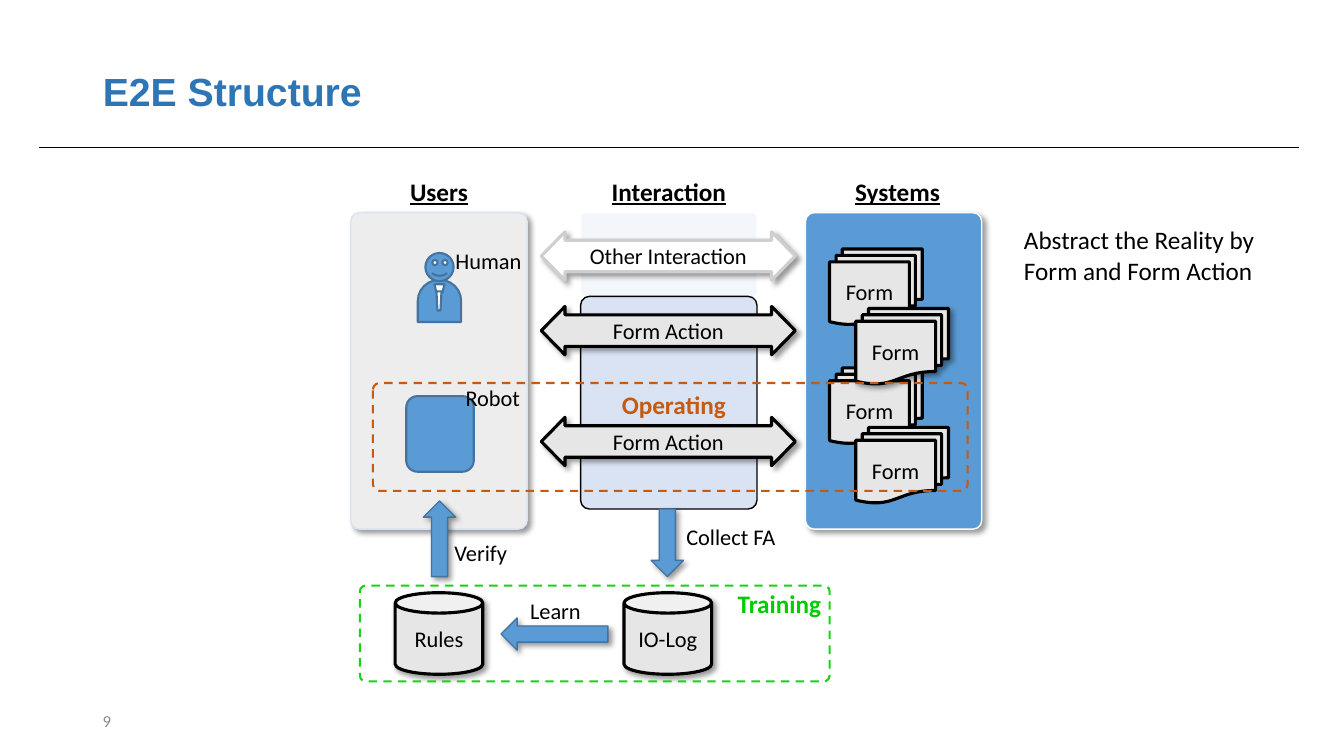
import pptx
import pptx.util
import pptx.dml.color
import pptx.enum.dml
import pptx.enum.shapes
import pptx.enum.text
import pptx.oxml.ns
from lxml import etree

W, H = pptx.util.Inches(13.33), pptx.util.Inches(7.5)
COLS, ROWS = 160, 90
SHAPE = pptx.enum.shapes.MSO_SHAPE
ALIGN = pptx.enum.text.PP_ALIGN
ANCHOR = pptx.enum.text.MSO_ANCHOR
LABEL_H, HEAD_H = 4.44, 4.8
BLUE, NAVY, GREY = "5B9BD5", "43739E", "E7E6E6"
HEADING = {"size": 18, "bold": True, "underline": True}
FRAME_NAME = {"size": 18, "bold": True}


def rgb(value):
    return pptx.dml.color.RGBColor.from_string(value)


def place(box, dx, dy, w, h):
    return box[0] + dx, box[1] + dy, w, h


def emu(box):
    x, y, w, h = box
    return [int(v) for v in (x * W / COLS, y * H / ROWS, w * W / COLS, h * H / ROWS)]


def write(tf, text, fmt, color="000000", align=ALIGN.LEFT, anchor=ANCHOR.TOP, wrap=True):
    tf.word_wrap = wrap
    tf.vertical_anchor = anchor
    p = tf.paragraphs[0]
    p.alignment = align
    r = p.add_run()
    r.text = text
    for key, value in {"name": "Calibri", "size": 16, **fmt}.items():
        setattr(r.font, key, pptx.util.Pt(value) if key == "size" else value)
    r.font.color.rgb = rgb(color)


def label(s, box, text, fmt=None, **options):
    write(s.shapes.add_textbox(*emu(box)).text_frame, text, fmt or {}, **options)


def heading(s, box, dx, text):
    label(s, place(box, dx, -4.92, box[2], HEAD_H), text, HEADING, align=ALIGN.CENTER)


def add_shadow(sp):
    ns = pptx.oxml.ns
    effects = sp._element.spPr.find(ns.qn("a:effectLst"))
    outer = etree.SubElement(effects, ns.qn("a:outerShdw"), blurRad=str(pptx.util.Pt(4)),
                             dist=str(pptx.util.Pt(3)), dir="2700000", algn="tl", rotWithShape="0")
    color = etree.SubElement(outer, ns.qn("a:srgbClr"), val="000000")
    etree.SubElement(color, ns.qn("a:alpha"), val="40000")


def shape(s, kind, box, fill=BLUE, line=NAVY, width=1, text=None, adj=(), rot=0,
          shadow=False, dash=False):
    sp = s.shapes.add_shape(kind, *emu(box))
    sp.rotation = rot
    for i, value in enumerate(adj):
        sp.adjustments[i] = value
    if fill:
        sp.fill.solid()
        sp.fill.fore_color.rgb = rgb(fill)
    else:
        sp.fill.background()
    sp.line.color.rgb = rgb(line)
    sp.line.width = pptx.util.Pt(width)
    if dash:
        sp.line.dash_style = pptx.enum.dml.MSO_LINE.DASH
    sp.shadow.inherit = False
    if shadow:
        add_shadow(sp)
    if text:
        write(sp.text_frame, text, {}, align=ALIGN.CENTER, anchor=ANCHOR.MIDDLE)


def panel(s, box, fill, line, shadow=False):
    shape(s, SHAPE.ROUNDED_RECTANGLE, box, fill, line, adj=[0.05], shadow=shadow)


def frame(s, box, line):
    shape(s, SHAPE.ROUNDED_RECTANGLE, box, None, line, 1.5, adj=[0.06], dash=True)


def block_arrow(s, box, rot=0):
    shape(s, SHAPE.DOWN_ARROW, box, rot=rot, shadow=True)


def header(s, box):
    title = s.shapes.title
    title.left, title.top, title.width, title.height = emu(box)
    write(title.text_frame, "E2E Structure", {"name": "Arial", "size": 28, "bold": True},
          "2E75B6", anchor=ANCHOR.MIDDLE)
    title.text_frame.paragraphs[0].line_spacing = 0.9
    x, y, w, h = emu((4.68, box[1] + box[3], 150, 0))
    rule = s.shapes.add_connector(pptx.enum.shapes.MSO_CONNECTOR.STRAIGHT, x, y, x + w, y)
    rule.line.color.rgb = rgb("000000")
    rule.line.width = pptx.util.Pt(0.5)
    etree.SubElement(rule._element.spPr, pptx.oxml.ns.qn("a:effectLst"))


def human(s, box):
    shape(s, SHAPE.FLOWCHART_DELAY, place(box, 0, 3.12, 5.04, 5.16), width=1.5, rot=270)
    for dx, dy, w, h in ((1.92, 3.72, 1.2, 0.96), (2.16, 4.56, 0.6, 2.28)):
        shape(s, SHAPE.FLOWCHART_MANUAL_OPERATION, place(box, dx, dy, w, h), "FFFFFF", width=1.5)
    shape(s, SHAPE.SMILEY_FACE, place(box, 0.84, 0, 3.36, 3.36), width=1.5)
    for dx in (1.68, 2.88):
        shape(s, SHAPE.OVAL, place(box, dx, 0.84, 0.6, 0.6), "FFFFFF", width=1.5)


def users(s, box):
    panel(s, box, "EDEDED", "DAE3F3", shadow=True)
    heading(s, box, 0, "Users")
    human(s, place(box, 8.04, 4.8, 5.04, 8.28))
    shape(s, SHAPE.ROUNDED_RECTANGLE, place(box, 6.6, 21.84, 8.04, 9), width=1.5)
    block_arrow(s, place(box, 8.64, 34.32, 3.84, 9), 180)
    for text, dx, dy, w in (("Human", 11.28, 3.48, 10.32), ("Robot", 12.48, 19.8, 9),
                            ("Verify", 11.16, 38.28, 8.76)):
        label(s, place(box, dx, dy, w, LABEL_H), text, wrap=False)


def interaction(s, box):
    panel(s, place(box, 0, 0, box[2], 10.08), "F3F6FB", "FFFFFF")
    panel(s, place(box, 0, 9.96, box[2], 25.32), "DAE3F3", "000000")
    heading(s, box, 0, "Interaction")
    block_arrow(s, place(box, 8.4, 35.28, 3.84, 8.04))
    label(s, place(box, 11.4, 36.36, 13.2, LABEL_H), "Collect FA", wrap=False)
    for text, dy, fill, line in (("Other Interaction", 2.28, "FFFFFF", "D0CECE"),
                                 ("Form Action", 11.16, GREY, "000000"),
                                 ("Form Action", 24.36, GREY, "000000")):
        shape(s, SHAPE.LEFT_RIGHT_ARROW, place(box, -4.68, dy, 30.24, 5.76), fill, line, 2.25,
              text, adj=[0.65, 0.49], shadow=True)


def systems(s, box):
    panel(s, box, BLUE, "FFFFFF", shadow=True)
    heading(s, box, 0.48, "Systems")
    for row in (0, 2, 1, 3):
        spot = place(box, 2.88 + row % 2 * 3.12, 4.32 + row * 7.08, 11.04, 9)
        shape(s, SHAPE.FLOWCHART_MULTIDOCUMENT, spot, GREY, "000000", 2.25, "Form",
              shadow=row == 1)


def training(s, box):
    for text, dx in (("Rules", 4.2), ("IO-Log", 31.44)):
        shape(s, SHAPE.CAN, place(box, dx, 0.84, 10.44, 9.72), GREY, "000000", 2.25, text,
              shadow=True)
    block_arrow(s, place(box, 21.24, -0.6, 3.84, 12.72), 90)
    label(s, place(box, 19.08, 0.84, 8.52, LABEL_H), "Learn", wrap=False)
    label(s, place(box, 43.8, -0.24, 12.36, HEAD_H), "Training", FRAME_NAME,
          color="00CC00", wrap=False)
    frame(s, box, "19D119")


def operating(s, box):
    label(s, place(box, 28.44, 0.12, 14.88, HEAD_H), "Operating", FRAME_NAME,
          color="C55A11", wrap=False)
    frame(s, box, "C55A11")


def main():
    prs = pptx.Presentation()
    prs.slide_width, prs.slide_height = W, H
    s = prs.slides.add_slide(prs.slide_layouts[5])
    header(s, (11.04, 4.8, 138, 12.72))
    for region, x in ((users, 41.76), (interaction, 69.12), (systems, 95.88)):
        region(s, (x, 25.32, 21, 37.68))
    training(s, (42.84, 69.72, 55.92, 11.4))
    operating(s, (44.4, 45.6, 70.8, 12.84))
    label(s, (120.72, 26.16, 30.72, 8.52), "Abstract the Reality by Form and Form Action",
          {"size": 18})
    label(s, (11.04, 83.4, 36, 4.8), "9", {"size": 12}, color="8C8C8C", anchor=ANCHOR.MIDDLE)
    prs.save("out.pptx")


if __name__ == "__main__":
    main()
